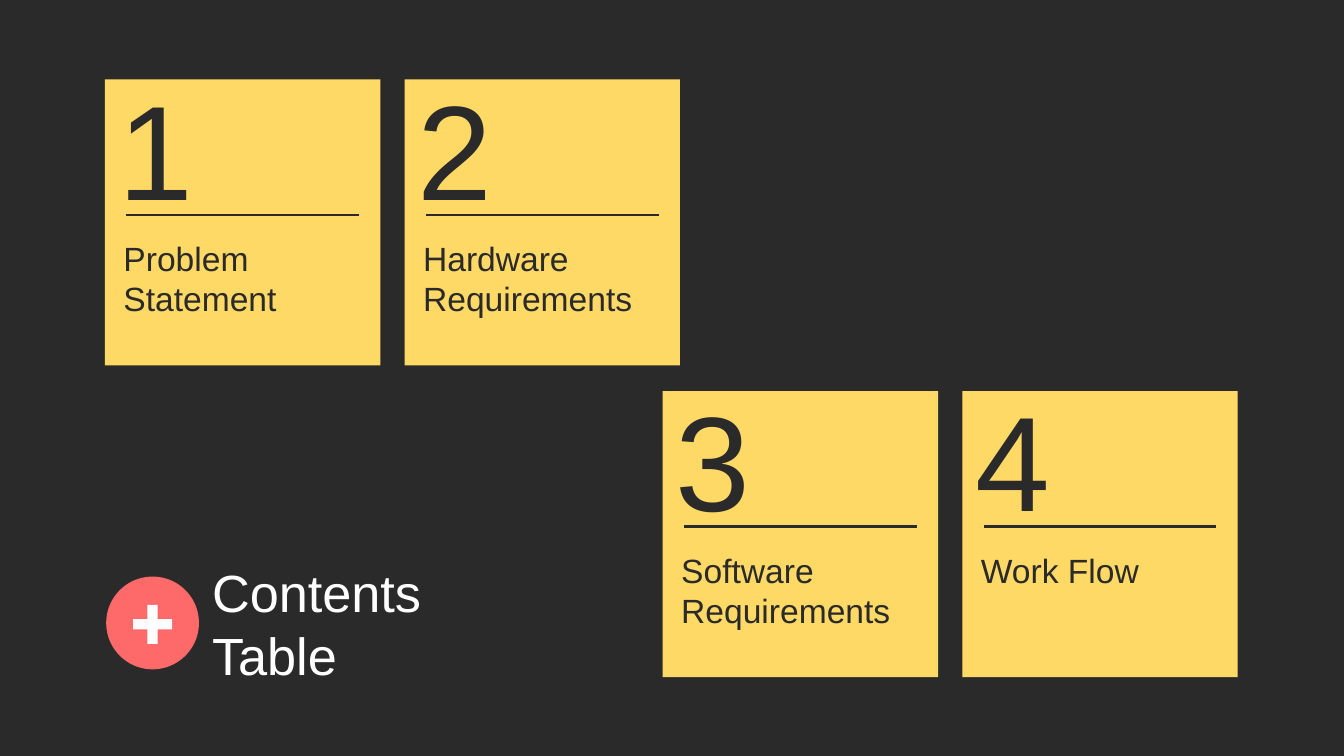
from lxml import etree
from pptx import Presentation
from pptx import util as u
from pptx.dml.color import RGBColor
from pptx.enum import shapes, text
from pptx.oxml.ns import qn

COLORS = {"dark": "2A2A2A", "card": "FFD966", "accent": "FE6A6A", "white": "FFFFFF"}
FONT = "Arial"
CARD_WIDTH, CARD_HEIGHT = 2.05, 2.13
CARD_PITCH = 2.23
ROWS = [
    (0.78, 0.59, ["Problem Statement", "Hardware Requirements"]),
    (4.93, 2.91, ["Software Requirements", "Work Flow"]),
]


def rgb(name):
    return RGBColor.from_string(COLORS[name])


def inches(*lengths):
    return [u.Inches(length) for length in lengths]


def add_block(slide, kind, box, color):
    block = slide.shapes.add_shape(kind, *inches(*box))
    block.shadow.inherit = False
    block.fill.solid()
    block.fill.fore_color.rgb = rgb(color)
    block.line.fill.background()
    return block


def add_words(slide, words, box, size, color, anchor=text.MSO_ANCHOR.MIDDLE):
    frame = slide.shapes.add_textbox(*inches(*box)).text_frame
    layout = {"word_wrap": True, "vertical_anchor": anchor}
    for side in ("left", "right", "top", "bottom"):
        layout[f"margin_{side}"] = u.Inches(0.1)
    for name, value in layout.items():
        setattr(frame, name, value)
    run = frame.paragraphs[0].add_run()
    run.text = words
    for name, value in {"name": FONT, "size": u.Pt(size)}.items():
        setattr(run.font, name, value)
    run.font.color.rgb = rgb(color)


def add_rule(slide, left, top, length):
    rule = slide.shapes.add_connector(
        shapes.MSO_CONNECTOR.STRAIGHT, *inches(left, top, left + length, top))
    rule.line.color.rgb = rgb("dark")
    rule.line.width = u.Pt(1.5)
    etree.SubElement(rule._element.spPr, qn("a:effectLst"))


def add_card(slide, number, label, left, top):
    add_block(slide, shapes.MSO_SHAPE.RECTANGLE,
              (left, top, CARD_WIDTH, CARD_HEIGHT), "card")
    add_rule(slide, left + 0.16, top + 1.01, 1.73)
    add_words(slide, str(number), (left, top, 0.75, 1), 72, "dark")
    add_words(slide, label, (left + 0.04, top + 1.08, 2.01, 0.78), 18, "dark",
              text.MSO_ANCHOR.TOP)


def add_heading(slide):
    add_block(slide, shapes.MSO_SHAPE.OVAL, (0.79, 4.29, 0.69, 0.69), "accent")
    plus = add_block(slide, shapes.MSO_SHAPE.CROSS, (0.99, 4.5, 0.29, 0.29), "white")
    plus.adjustments[0] = 0.37
    add_words(slide, "Contents Table", (1.48, 4.26, 2.27, 0.75), 28, "white")


def main():
    deck = Presentation()
    deck.slide_width, deck.slide_height = u.Inches(10), u.Inches(10) * 9 // 16
    slide = deck.slides.add_slide(deck.slide_layouts[6])
    slide.background.fill.solid()
    slide.background.fill.fore_color.rgb = rgb("dark")
    number = 1
    for left, top, labels in ROWS:
        for column, label in enumerate(labels):
            add_card(slide, number, label, left + column * CARD_PITCH, top)
            number += 1
    add_heading(slide)
    deck.save("out.pptx")


if __name__ == "__main__":
    main()
